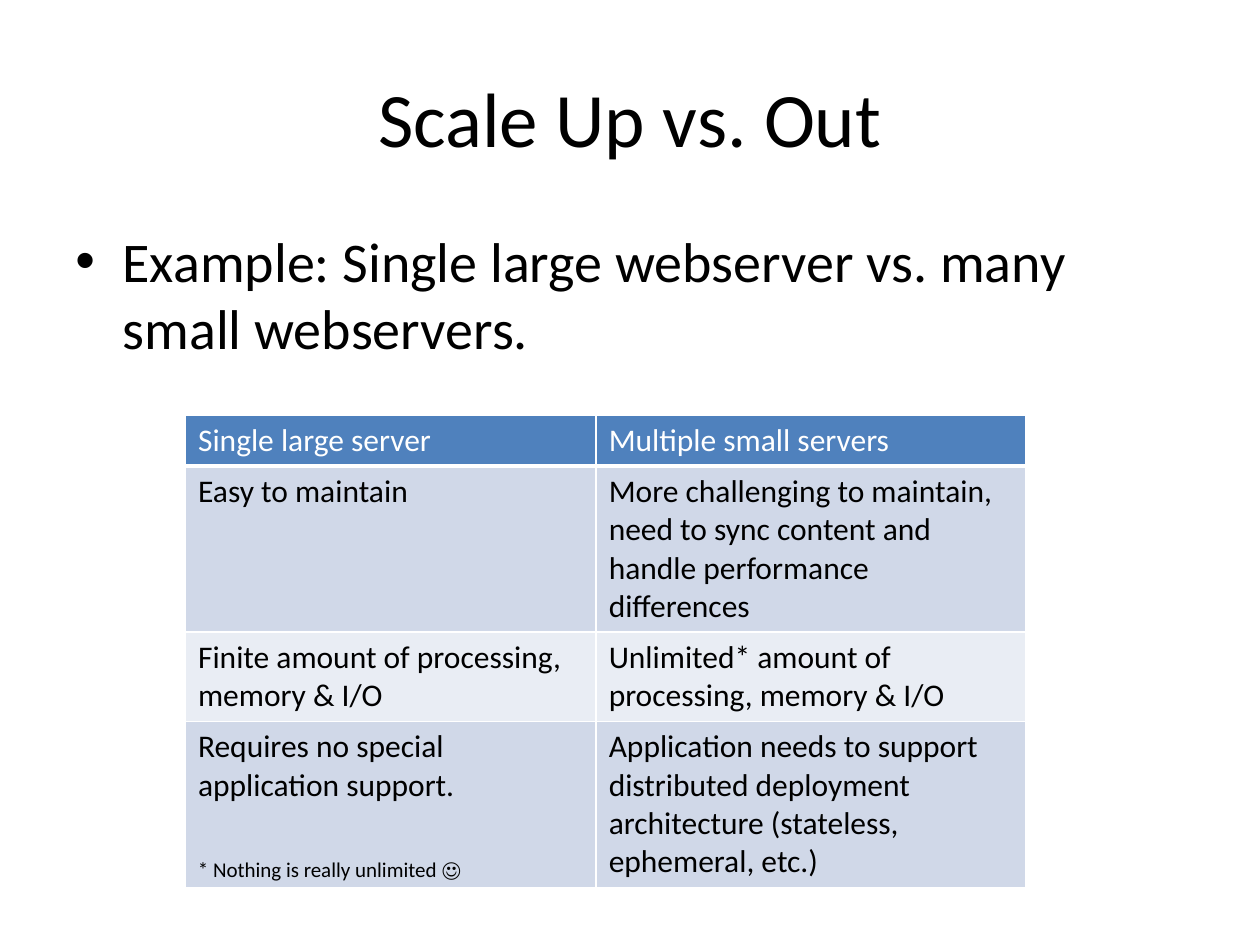
from lxml import etree
from pptx import Presentation
from pptx.dml.color import RGBColor
from pptx.enum.text import MSO_ANCHOR, MSO_AUTO_SIZE, PP_ALIGN
from pptx.oxml.ns import qn
from pptx.util import Pt

CENTER = PP_ALIGN.CENTER
LEFT = PP_ALIGN.LEFT
MIDDLE = MSO_ANCHOR.MIDDLE
TOP = MSO_ANCHOR.TOP
GROW = MSO_AUTO_SIZE.SHAPE_TO_FIT_TEXT

FONT = "Calibri"
COLORS = {
    "text": "000000",
    "white": "FFFFFF",
    "head": "4F81BD",
    "odd": "D0D8E8",
    "even": "E9EDF4",
}
ROWS = [
    ("Single large server", "Multiple small servers"),
    ("Easy to maintain",
     "More challenging to maintain, need to sync content and "
     "handle performance differences"),
    ("Finite amount of processing, memory & I/O",
     "Unlimited* amount of processing, memory & I/O"),
    ("Requires no special application support.",
     "Application needs to support distributed deployment "
     "architecture (stateless, ephemeral, etc.)"),
]
WIDTHS = [234.7, 245.5]
HEIGHTS = [29.2, 95, 51, 95]


def color(name):
    return RGBColor.from_string(COLORS[name])


def add_run(para, text, size, ink="text"):
    run = para.add_run()
    run.text = text
    run.font.name = FONT
    run.font.size = Pt(size)
    run.font.color.rgb = color(ink)


def add_text(slide, box, text, size, align=LEFT, anchor=TOP, wrap=True):
    shape = slide.shapes.add_textbox(*map(Pt, box))
    frame = shape.text_frame
    frame.word_wrap = wrap
    frame.vertical_anchor = anchor
    para = frame.paragraphs[0]
    para.alignment = align
    add_run(para, text, size)
    return frame


def add_bullet(para, indent):
    """Give the paragraph a hanging round bullet."""
    props = para._p.get_or_add_pPr()
    props.set("marL", str(Pt(indent)))
    props.set("indent", str(-Pt(indent)))
    etree.SubElement(props, qn("a:buFont"), typeface="Arial")
    etree.SubElement(props, qn("a:buChar"), char="•")


def add_edges(cell, top, bottom):
    """Draw white cell borders, with the top and bottom widths in points."""
    props = cell._tc.get_or_add_tcPr()
    for side, width in (("L", 1), ("R", 1), ("T", top), ("B", bottom)):
        line = etree.SubElement(props, qn(f"a:ln{side}"), w=str(Pt(width)))
        fill = etree.SubElement(line, qn("a:solidFill"))
        etree.SubElement(fill, qn("a:srgbClr"), val=COLORS["white"])


def fill_cell(cell, text, row):
    add_edges(cell, 3 if row == 1 else 1, 3 if row == 0 else 1)
    cell.fill.solid()
    band = "head" if row == 0 else "odd" if row % 2 else "even"
    cell.fill.fore_color.rgb = color(band)
    ink = "white" if row == 0 else "text"
    add_run(cell.text_frame.paragraphs[0], text, 18, ink)


def add_grid(slide, left, top):
    shape = slide.shapes.add_table(
        len(ROWS), len(WIDTHS), Pt(left), Pt(top),
        Pt(sum(WIDTHS)), Pt(sum(HEIGHTS)))
    table = shape.table
    for col, width in zip(table.columns, WIDTHS):
        col.width = Pt(width)
    for row, height in zip(table.rows, HEIGHTS):
        row.height = Pt(height)
    for r, texts in enumerate(ROWS):
        for c, text in enumerate(texts):
            fill_cell(table.cell(r, c), text, r)


def main():
    deck = Presentation()
    deck.slide_width, deck.slide_height = Pt(720), Pt(540)
    slide = deck.slides.add_slide(deck.slide_layouts[6])

    add_text(slide, (36, 21.6, 648, 90), "Scale Up vs. Out", 44,
             CENTER, MIDDLE)
    body = add_text(
        slide, (36, 126, 648, 356.4),
        "Example: Single large webserver vs. many small webservers.", 32)
    add_bullet(body.paragraphs[0], 27)
    add_grid(slide, 106, 237)
    note = add_text(slide, (106, 486, 166.3, 21.6),
                    "* Nothing is really unlimited ☺", 12, wrap=False)
    note.auto_size = GROW

    deck.save("out.pptx")


if __name__ == "__main__":
    main()
